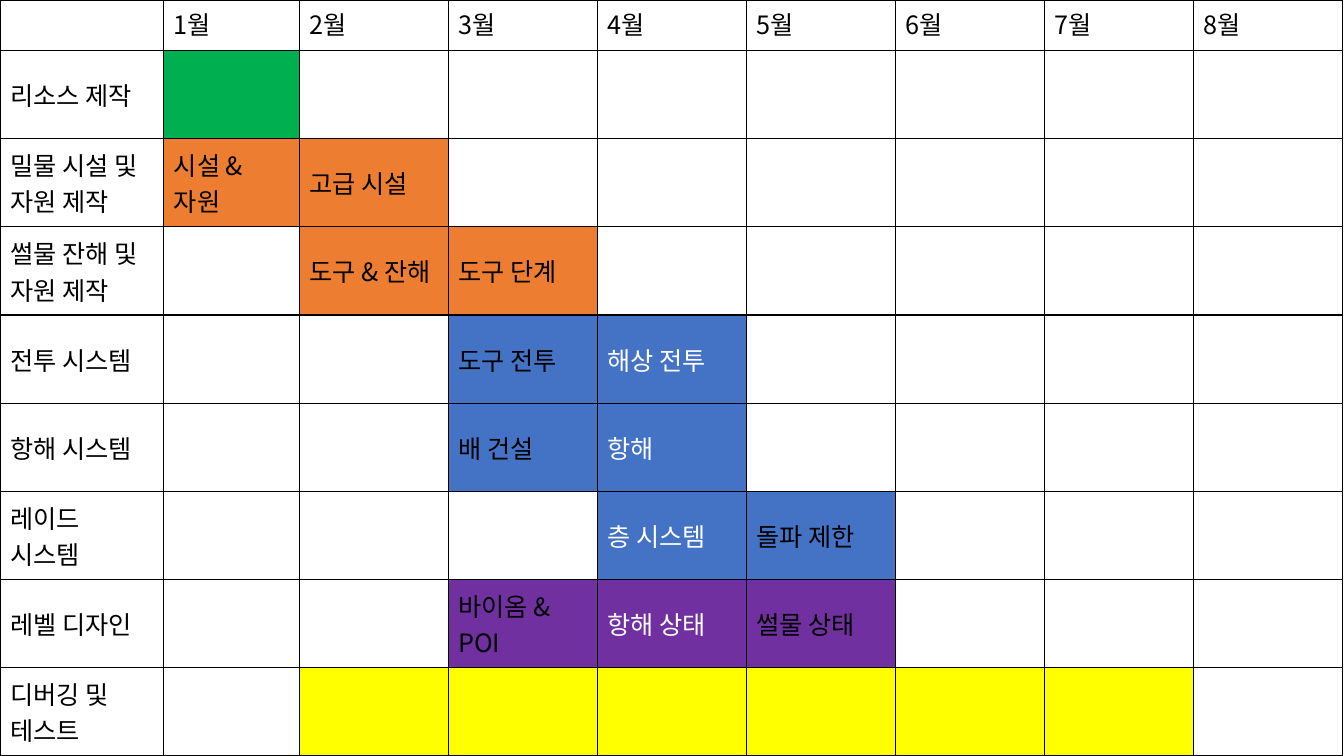
from lxml import etree
from pptx import Presentation, util as u
from pptx.dml.color import RGBColor
from pptx.enum import text
from pptx.oxml import ns

COLORS = {
    "ink": "000000", "paper": "FFFFFF", "resource": "00B050",
    "facility": "ED7D31", "system": "4472C4", "level": "7030A0",
    "testing": "FFFF00",
}
PX = 9525
FIRST_MONTH, LAST_MONTH, WHITE_TEXT_MONTH = 1, 8, 4
COLUMN_WIDTHS = [156, 129] + [142] * 7
HEADER_HEIGHT, TASK_HEIGHT = 48, 84

TASKS = [
    ("리소스 제작", "resource", 1, [""]),
    ("밀물 시설 및 자원 제작", "facility", 1, ["시설 & 자원", "고급 시설"]),
    ("썰물 잔해 및 자원 제작", "facility", 2, ["도구 & 잔해", "도구 단계"]),
    ("전투 시스템", "system", 3, ["도구 전투", "해상 전투"]),
    ("항해 시스템", "system", 3, ["배 건설", "항해"]),
    ("레이드 시스템", "system", 4, ["층 시스템", "돌파 제한"]),
    ("레벨 디자인", "level", 3, ["바이옴 & POI", "항해 상태", "썰물 상태"]),
    ("디버깅 및\n테스트", "testing", 2, [""] * 6),
]


class ScheduleSlide:
    """Holds the schedule's style and the slide it is drawn on."""

    font = "Noto Sans CJK KR"
    size = 18
    border_width = 1

    def __init__(self, deck):
        self.slide = deck.slides.add_slide(deck.slide_layouts[6])

    def grid(self, left, top, widths, heights):
        schedule = self.slide.shapes.add_table(
            len(heights), len(widths), left * PX, top * PX,
            sum(widths) * PX, sum(heights) * PX).table
        schedule.first_row = schedule.horz_banding = False
        for column, width in zip(schedule.columns, widths):
            column.width = u.Emu(width * PX)
        for row, height in zip(schedule.rows, heights):
            row.height = u.Emu(height * PX)
        for cell in schedule.iter_cells():
            self.paint(cell, "paper")
            self.border(cell)
        return schedule

    def paint(self, cell, color):
        cell.fill.solid()
        cell.fill.fore_color.rgb = RGBColor.from_string(COLORS[color])

    def border(self, cell):
        properties = cell._tc.get_or_add_tcPr()
        for position, side in enumerate(("lnL", "lnR", "lnT", "lnB")):
            edge = etree.Element(ns.qn(f"a:{side}"), w=str(u.Pt(self.border_width)))
            fill = etree.SubElement(edge, ns.qn("a:solidFill"))
            etree.SubElement(fill, ns.qn("a:srgbClr"), val=COLORS["ink"])
            properties.insert(position, edge)

    def label(self, cell, wording, color="ink", anchor=text.MSO_ANCHOR.MIDDLE):
        cell.text_frame.text = wording
        cell.vertical_anchor = anchor
        for paragraph in cell.text_frame.paragraphs:
            for run in paragraph.runs:
                run.font.size = u.Pt(self.size)
                run.font.name = self.font
                run.font.color.rgb = RGBColor.from_string(COLORS[color])
                east_asian = etree.SubElement(run.font._element, ns.qn("a:ea"))
                east_asian.set("typeface", self.font)


def main():
    deck = Presentation()
    deck.slide_width, deck.slide_height = u.Emu(1280 * PX), u.Emu(720 * PX)
    page = ScheduleSlide(deck)
    heights = [HEADER_HEIGHT] + [TASK_HEIGHT] * len(TASKS)
    schedule = page.grid(0, 0, COLUMN_WIDTHS, heights)

    for month in range(FIRST_MONTH, LAST_MONTH + 1):
        page.label(schedule.cell(0, month), f"{month}월", anchor=text.MSO_ANCHOR.TOP)

    for row, (task, color, start, stages) in enumerate(TASKS, 1):
        page.label(schedule.cell(row, 0), task)
        for month, stage in enumerate(stages, start):
            cell = schedule.cell(row, month)
            page.paint(cell, color)
            page.label(cell, stage, "paper" if month == WHITE_TEXT_MONTH else "ink")

    deck.save("out.pptx")


if __name__ == "__main__":
    main()
